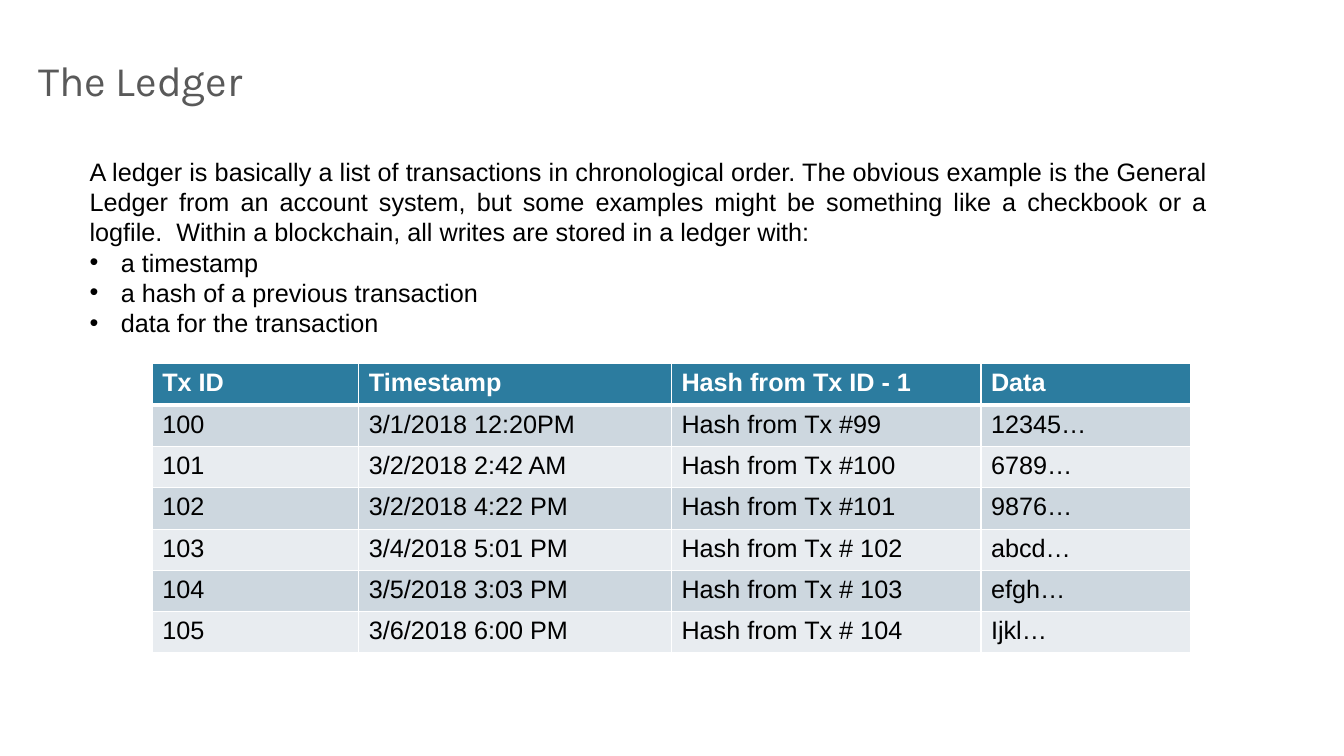
import pptx
import pptx.dml.color
import pptx.enum.text
import pptx.oxml
import pptx.oxml.ns
import pptx.util
from lxml import etree

Inches = pptx.util.Inches
ALIGN = pptx.enum.text.PP_ALIGN
ANCHOR = pptx.enum.text.MSO_ANCHOR

COLORS = {
    "title": "595959",
    "text": "000000",
    "white": "FFFFFF",
    "header": "2C7C9F",
    "odd_row": "CDD7DF",
    "even_row": "E8ECF0",
}

INTRO = (
    "A ledger is basically a list of transactions in chronological order. "
    "The obvious example is the General Ledger from an account system, but some "
    "examples might be something like a checkbook or a logfile.  Within a "
    "blockchain, all writes are stored in a ledger with: "
)
ENTRY_PARTS = ["a timestamp ", "a hash of a previous transaction", "data for the transaction"]

LEDGER = [
    ["Tx ID", "Timestamp", "Hash from Tx ID - 1", "Data"],
    ["100", "3/1/2018 12:20PM", "Hash from Tx #99", "12345…"],
    ["101", "3/2/2018 2:42 AM", "Hash from Tx #100", "6789…"],
    ["102", "3/2/2018 4:22 PM", "Hash from Tx #101", "9876…"],
    ["103", "3/4/2018 5:01 PM", "Hash from Tx # 102", "abcd…"],
    ["104", "3/5/2018 3:03 PM", "Hash from Tx # 103", "efgh…"],
    ["105", "3/6/2018 6:00 PM", "Hash from Tx # 104", "Ijkl…"],
]
COLUMN_WIDTHS = [2.05, 3.1, 3.07, 2.08]
ROW_HEIGHT = 0.41


def rgb(name):
    return pptx.dml.color.RGBColor.from_string(COLORS[name])


def write(para, text, font="Arial", size=18, color="text", bold=False, align=None):
    """Add one formatted span of text to a paragraph."""
    span = para.add_run()
    span.text = text
    span.font.name = font
    span.font.size = pptx.util.Pt(size)
    span.font.bold = bold
    span.font.color.rgb = rgb(color)
    para.alignment = align


class SlideBuilder:
    """Holds the style and the current slide."""

    bullet_indent = Inches(0.31)

    def __init__(self, page):
        self.page = page

    def text_box(self, left, top, width, height, anchor=ANCHOR.TOP):
        box = self.page.shapes.add_textbox(
            Inches(left), Inches(top), Inches(width), Inches(height))
        frame = box.text_frame
        frame.word_wrap = True
        frame.vertical_anchor = anchor
        return frame

    def bullet(self, frame, text, **style):
        para = frame.add_paragraph()
        write(para, text, **style)
        properties = para._p.get_or_add_pPr()
        properties.set("marL", str(self.bullet_indent))
        properties.set("indent", str(-self.bullet_indent))
        for tag, name, value in (("a:buFont", "typeface", "Arial"), ("a:buChar", "char", "•")):
            etree.SubElement(properties, pptx.oxml.ns.qn(tag)).set(name, value)

    def borders(self, cell, **points):
        """Draw white cell borders, given widths for L, R, T and B."""
        properties = cell._tc.get_or_add_tcPr()
        for position, (side, width) in enumerate(points.items()):
            line = pptx.oxml.parse_xml(
                f'<a:ln{side} {pptx.oxml.ns.nsdecls("a")} w="{pptx.util.Pt(width)}">'
                f'<a:solidFill><a:srgbClr val="{COLORS["white"]}"/></a:solidFill>'
                f'</a:ln{side}>')
            properties.insert(position, line)

    def table(self, left, top, rows, widths, row_height):
        table = self.page.shapes.add_table(
            len(rows), len(widths), Inches(left), Inches(top),
            Inches(sum(widths)), Inches(row_height * len(rows))).table
        table.horz_banding = False
        for column, width in zip(table.columns, widths):
            column.width = Inches(width)
        for r, values in enumerate(rows):
            table.rows[r].height = Inches(row_height)
            header = r == 0
            fill = "header" if header else "odd_row" if r % 2 else "even_row"
            for c, value in enumerate(values):
                cell = table.cell(r, c)
                cell.fill.solid()
                cell.fill.fore_color.rgb = rgb(fill)
                write(cell.text_frame.paragraphs[0], value, bold=header,
                      color="white" if header else "text")
                self.borders(cell, L=1, R=1, T=3 if r == 1 else 1, B=3 if header else 1)


def main():
    deck = pptx.Presentation()
    deck.slide_width = Inches(13.33)
    deck.slide_height = Inches(7.5)
    builder = SlideBuilder(deck.slides.add_slide(deck.slide_layouts[6]))

    # Title
    title = builder.text_box(0.28, 0.12, 12.78, 1.34, anchor=ANCHOR.MIDDLE)
    write(title.paragraphs[0], "The Ledger", font="Karla", size=30, color="title")

    # Ledger table
    builder.table(1.51, 3.61, LEDGER, COLUMN_WIDTHS, ROW_HEIGHT)

    # Explanation with bullets
    body = builder.text_box(0.79, 1.5, 11.28, 1.92)
    write(body.paragraphs[0], INTRO, align=ALIGN.JUSTIFY)
    for part in ENTRY_PARTS:
        builder.bullet(body, part, align=ALIGN.JUSTIFY)

    deck.save("out.pptx")


if __name__ == "__main__":
    main()
